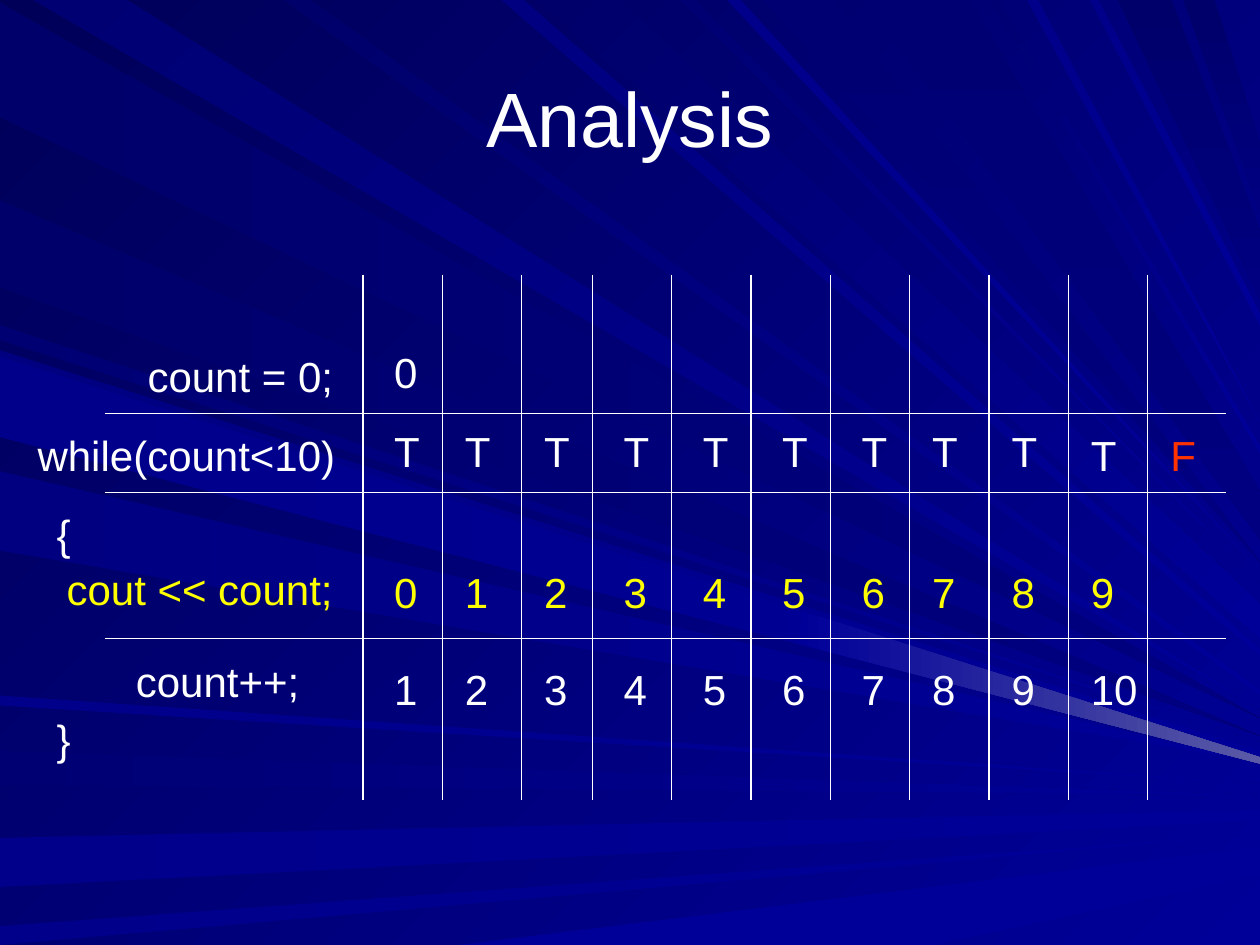
from pptx import Presentation
from pptx.dml.color import RGBColor
from pptx.enum.shapes import MSO_CONNECTOR
from pptx.enum.text import MSO_ANCHOR, MSO_AUTO_SIZE, PP_ALIGN
from pptx.oxml.ns import qn
from pptx.util import Inches, Pt
from lxml.etree import SubElement

FONT = "Arial"
WHITE = RGBColor.from_string("FFFFFF")
YELLOW = RGBColor.from_string("FFFF00")
RED = RGBColor.from_string("FF3300")
MIDNIGHT = RGBColor.from_string("000058")
DARK = RGBColor.from_string("00006B")
DEEP = RGBColor.from_string("000073")
NAVY = RGBColor.from_string("000080")
BRIGHT = RGBColor.from_string("00008A")
ROYAL = RGBColor.from_string("000099")
HAZE = RGBColor.from_string("5A5AA6")

WIDTH, HEIGHT = 10, 7.5

# Rays run from an edge to the right side:
# edge, start and end on it, height at the right side, spread there, colours
RAYS = [
    ("left", 0.02, 0.93, 5.7, 0, DARK, NAVY),
    ("top", 0.26, 1.01, 5.63, 0, DEEP, ROYAL),
    ("left", 5.96, 6.23, 6.31, 0, DEEP, ROYAL),
    ("left", 6.65, 7.04, 6.43, 0.08, BRIGHT, ROYAL),
    ("left", 7.35, 7.5, 6.62, 0, BRIGHT, ROYAL),
    ("bottom", 3.64, 7.42, 6.72, 0.22, ROYAL, ROYAL),
    ("left", 2.58, 2.7, 5.89, 0, DEEP, ROYAL),
    ("left", 1.59, 2.28, 5.84, 0, DARK, NAVY),
    ("top", 3.98, 4.16, 5.15, 0.06, NAVY, ROYAL),
    ("top", 4.26, 4.92, 4.79, 0.28, DARK, ROYAL),
    ("top", 5.4, 5.52, 4.63, 0, DEEP, ROYAL),
    ("top", 6.06, 6.61, 4.46, 0, DEEP, NAVY),
    ("top", 8.87, 9.3, 1.83, 0.54, DARK, NAVY),
    ("top", 9.39, 9.64, 1.14, 0.53, DARK, NAVY),
    ("left", 2.78, 3.42, 5.96, 0.06, NAVY, ROYAL),
    ("left", 3.74, 4.37, 6.05, 0, NAVY, ROYAL),
    ("left", 5.52, 5.6, 6.22, 0, BRIGHT, ROYAL),
    ("top", 2.25, 2.47, 5.47, 0.05, DARK, ROYAL),
    ("top", 5.77, 5.88, 4.53, 0, BRIGHT, ROYAL),
    ("top", 6.86, 7.7, 3.9, 0.38, DEEP, NAVY),
    ("top", 7.85, 7.92, 3.54, 0.06, DEEP, ROYAL),
    ("top", 8.15, 8.24, 3.35, 0, BRIGHT, ROYAL),
    ("top", 8.65, 8.72, 2.49, 0.09, BRIGHT, ROYAL),
    ("left", 2.83, 3.47, 6.01, 0.05, BRIGHT, ROYAL),
]
GLINT = [(6.37, 4.85), (10, 6.01), (10, 6.06), (6.33, 5.11)]

# Code lines: text, left, top, width, colour, wrap
CODE = [
    (" count = 0;", 0.98, 2.73, 1.89, WHITE, True),
    ("while(count<10)", 0.2, 3.36, 2.6, WHITE, True),
    ("{", 0.35, 3.99, 0.31, WHITE, False),
    ("cout << count;", 0.43, 4.42, 2.44, YELLOW, True),
    ("count++;", 0.98, 5.15, 1.89, WHITE, True),
    ("}", 0.35, 5.61, 0.31, WHITE, False),
]

# Trace rows: top, first column, values by loop pass, colour
TRACE = [
    (2.7, 0, [0], WHITE),
    (3.33, 0, "T" * 9, WHITE),
    (3.36, 9, "T", WHITE),
    (3.36, 10, "F", RED),
    (4.45, 0, range(10), YELLOW),
    (5.22, 0, range(1, 11), WHITE),
]

GRID_LEFT, GRID_RIGHT, GRID_TOP, GRID_BOTTOM = 0.83, 9.73, 2.18, 6.35
RULE_TOPS = (3.28, 3.91, 5.07)
COLUMNS = 11
STEP, NARROWING = 0.63, 0.07
FIRST_DIVIDER, NARROW_DIVIDERS = 2.88, [3]
FIRST_VALUE, NARROW_VALUES = 3.03, [1, 7]


def column_left(first, column, narrow):
    """Left of a column; each column listed in narrow is a little closer to the one before."""
    return first + column * STEP - NARROWING * sum(column >= n for n in narrow)


def paint(fill, first, last, angle):
    if first == last:
        fill.solid()
        fill.fore_color.rgb = first
        return
    fill.gradient()
    fill.gradient_angle = 360 - angle  # python-pptx counts counter-clockwise
    for position, (stop, color) in enumerate(zip(fill.gradient_stops, (first, last))):
        stop.color.rgb = color
        stop.position = position


def add_band(slide, points, first, last, angle):
    corners = [(Inches(x), Inches(y)) for x, y in points]
    builder = slide.shapes.build_freeform(*corners[0], scale=1.0)
    builder.add_line_segments(corners[1:], close=True)
    band = builder.convert_to_shape()
    band.shadow.inherit = False
    band.line.fill.background()
    paint(band.fill, first, last, angle)


def add_ray(slide, edge, start, end, tip, spread, first, last):
    if edge == "left":
        base = [(0, end), (0, start)]
        angle = 0
    else:
        y = 0 if edge == "top" else HEIGHT
        base = [(start, y), (end, y)]
        angle = 90 if last == NAVY else 45
    far = [(WIDTH, tip), (WIDTH, tip + spread)]
    if edge == "bottom":
        far.reverse()
    add_band(slide, base + far, first, last, angle)


def write(frame, text, size=24, color=WHITE, align=PP_ALIGN.LEFT):
    paragraph = frame.paragraphs[0]
    paragraph.alignment = align
    run = paragraph.add_run()
    run.text = text
    run.font.name = FONT
    run.font.size = Pt(size)
    run.font.color.rgb = color


def add_text(slide, text, left, top, width, color, wrap=False):
    box = slide.shapes.add_textbox(*map(Inches, (left, top, width, 0.5)))
    box.text_frame.word_wrap = wrap
    box.text_frame.auto_size = MSO_AUTO_SIZE.SHAPE_TO_FIT_TEXT
    write(box.text_frame, text, color=color)


def add_line(slide, x1, y1, x2, y2):
    line = slide.shapes.add_connector(MSO_CONNECTOR.STRAIGHT, *map(Inches, (x1, y1, x2, y2)))
    line.line.color.rgb = WHITE
    line.line.width = Pt(0.75)
    SubElement(line._element.spPr, qn("a:effectLst"))


def main():
    deck = Presentation()
    deck.slide_width, deck.slide_height = Inches(WIDTH), Inches(HEIGHT)
    slide = deck.slides.add_slide(deck.slide_layouts[5])
    paint(slide.background.fill, MIDNIGHT, ROYAL, 45)
    for ray in RAYS:
        add_ray(slide, *ray)
    add_band(slide, GLINT, ROYAL, HAZE, 0)

    title = slide.shapes.title
    slide.shapes._spTree.append(title._element)  # bring in front of the rays
    title.left, title.top, title.width, title.height = map(Inches, (0.5, 0.3, 9, 1.25))
    title.text_frame.vertical_anchor = MSO_ANCHOR.MIDDLE
    write(title.text_frame, "Analysis", size=44, align=PP_ALIGN.CENTER)

    for column in range(COLUMNS):
        x = column_left(FIRST_DIVIDER, column, NARROW_DIVIDERS)
        add_line(slide, x, GRID_TOP, x, GRID_BOTTOM)
    for y in RULE_TOPS:
        add_line(slide, GRID_LEFT, y, GRID_RIGHT, y)

    for code_line in CODE:
        add_text(slide, *code_line)
    for top, first_column, values, color in TRACE:
        for column, value in enumerate(values, first_column):
            text = str(value)
            width = 0.57 if len(text) > 1 else 0.39
            left = column_left(FIRST_VALUE, column, NARROW_VALUES)
            add_text(slide, text, left, top, width, color)

    deck.save("out.pptx")


if __name__ == "__main__":
    main()
